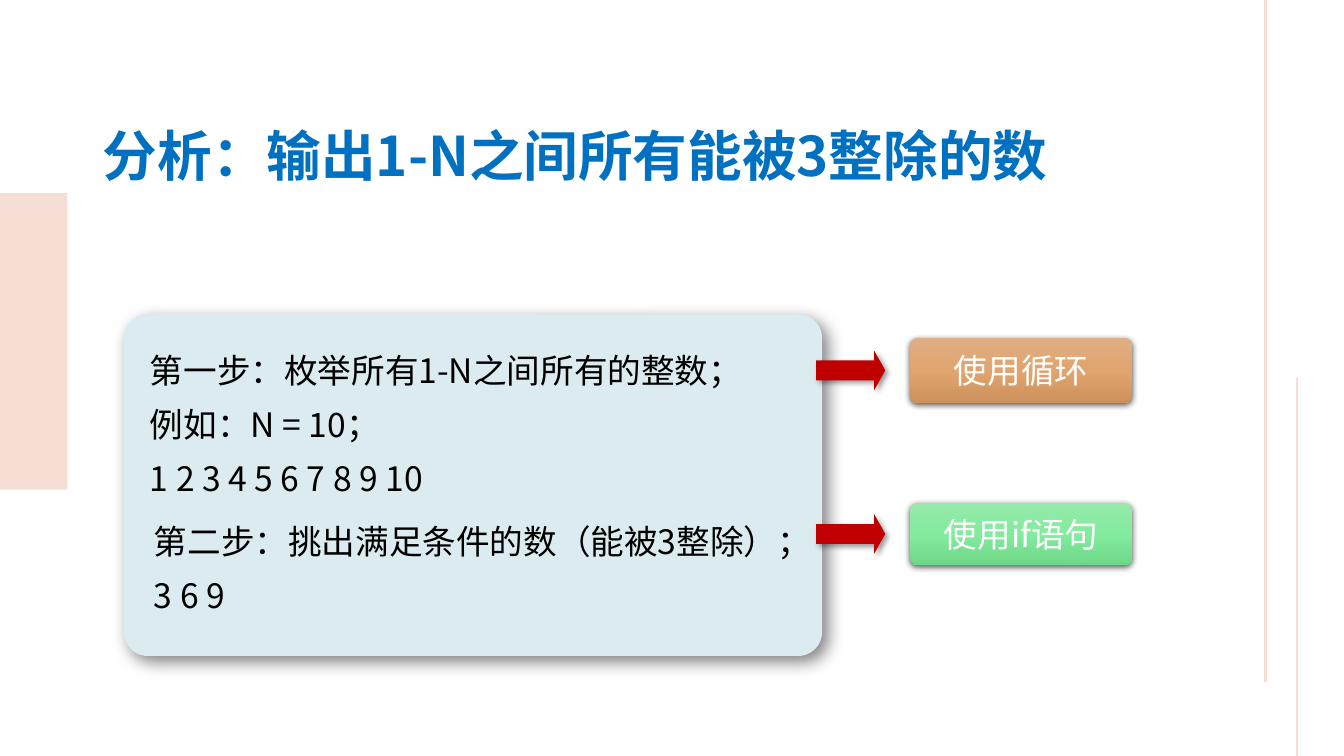
from lxml import etree
from pptx import Presentation
from pptx.dml.color import RGBColor
from pptx.enum.shapes import MSO_CONNECTOR, MSO_SHAPE
from pptx.enum.text import MSO_ANCHOR, PP_ALIGN
from pptx.oxml.ns import qn
from pptx.util import Cm, Pt

RECTANGLE = MSO_SHAPE.RECTANGLE
ROUNDED = MSO_SHAPE.ROUNDED_RECTANGLE
ARROW = MSO_SHAPE.RIGHT_ARROW
STRAIGHT = MSO_CONNECTOR.STRAIGHT
MIDDLE, TOP = MSO_ANCHOR.MIDDLE, MSO_ANCHOR.TOP
LEFT, CENTER = PP_ALIGN.LEFT, PP_ALIGN.CENTER

FONT = "Noto Sans CJK SC"
COLORS = {
    "accent": "F6DED4", "title": "0070C0", "panel": "DCEBEF",
    "text": "000000", "label": "FFFFFF", "arrow": "C00000", "shadow": "000000",
}
ORANGE = ("E0AE85", "E0A46E", "CD915B")
GREEN = ("96EAAB", "82EB9D", "6ED788")


def color(name):
    """Return the named colour."""
    return RGBColor.from_string(COLORS[name])


def write(frame, text, size=24, fill="text", bold=False, align=LEFT,
          anchor=TOP, gap=0, line_height=None):
    """Fill a text frame, one paragraph for each line of text."""
    frame.word_wrap = True
    frame.vertical_anchor = anchor
    for index, line in enumerate(text.split("\n")):
        para = frame.add_paragraph() if index else frame.paragraphs[0]
        para.alignment = align
        para.space_before = Pt(gap if index else 0)
        para.space_after = Pt(gap)
        if line_height:
            para.line_spacing = Pt(line_height)
        span = para.add_run()
        span.text = line
        span.font.size = Pt(size)
        span.font.bold = bold
        span.font.color.rgb = color(fill)
        span.font.name = FONT
        etree.SubElement(span.font._element, qn("a:ea"), typeface=FONT)


def add_shadow(shape, opacity, blur, distance, angle):
    """Give a shape an outer shadow, with lengths in points."""
    effects = etree.SubElement(shape._element.spPr, qn("a:effectLst"))
    shadow = etree.SubElement(
        effects, qn("a:outerShdw"), blurRad=str(Pt(blur)), dist=str(Pt(distance)),
        dir=str(angle * 60000), algn="ctr", rotWithShape="0")
    tint = etree.SubElement(shadow, qn("a:srgbClr"), val=COLORS["shadow"])
    etree.SubElement(tint, qn("a:alpha"), val=str(opacity * 1000))


def add_block(page, kind, box, fill=None, gradient=None, shadow=None):
    """Add a shape without outline, with a plain or a three-stop fill."""
    shape = page.shapes.add_shape(kind, *map(Cm, box))
    if gradient:
        shape.fill.gradient()
        stops = shape.fill._fill._gradFill.find(qn("a:gsLst"))
        for stop in list(stops):
            stops.remove(stop)
        for position, value in zip((0, 50, 100), gradient):
            stop = etree.SubElement(stops, qn("a:gs"), pos=str(position * 1000))
            etree.SubElement(stop, qn("a:srgbClr"), val=value)
        shape.fill.gradient_angle = 270
    else:
        shape.fill.solid()
        shape.fill.fore_color.rgb = color(fill)
    shape.line.fill.background()
    if shadow:
        add_shadow(shape, *shadow)
    else:
        shape.shadow.inherit = False
    return shape


def add_frame(page, box):
    """Draw the side band and the two rules at the right of the page box."""
    left, top, width, height = box
    add_block(page, RECTANGLE, (left, top + 4.87, 1.7, 7.47), fill="accent")
    right, bottom = left + width, top + height
    for inset, start, end, weight in ((1.97, top, 17.19, 2.25),
                                      (1.18, top + height / 2, bottom, 1.5)):
        x = Cm(right - inset)
        rule = page.shapes.add_connector(STRAIGHT, x, Cm(start), x, Cm(end))
        rule.line.color.rgb = color("accent")
        rule.line.width = Pt(weight)
        etree.SubElement(rule._element.spPr, qn("a:effectLst"))


def add_title(page, box, text):
    """Place and format the title placeholder."""
    title = page.shapes.title
    title.left, title.top, title.width, title.height = map(Cm, box)
    write(title.text_frame, text, size=39, fill="title", bold=True, anchor=MIDDLE)


def add_panel(page, box, steps):
    """Draw the panel and its steps, each at an offset from the panel."""
    left, top, width, height = box
    panel = add_block(page, ROUNDED, box, fill="panel", shadow=(50, 12, 6, 45))
    panel.adjustments[0] = 0.07
    for across, down, tall, text in steps:
        area = left + across, top + down, 16.4, tall
        step = page.shapes.add_textbox(*map(Cm, area))
        write(step.text_frame, text, gap=5, line_height=28.8)


def add_method(page, box, text, gradient):
    """Draw an arrow and the method button it leads to."""
    left, top, width, height = box
    arrow_box = left - 2.37, top + height / 2 - 0.5, 1.74, 1
    arrow = add_block(page, ARROW, arrow_box, fill="arrow", shadow=(40, 4, 3, 45))
    arrow.adjustments[0] = 0.5
    arrow.adjustments[1] = 0.28
    button = add_block(page, ROUNDED, box, gradient=gradient, shadow=(63, 4.5, 1.5, 90))
    button.adjustments[0] = 0.12
    write(button.text_frame, text, fill="label", align=CENTER, anchor=MIDDLE)


def main():
    """Build the slide and save it."""
    deck = Presentation()
    deck.slide_width, deck.slide_height = Cm(33.87), Cm(19.05)
    page = deck.slides.add_slide(deck.slide_layouts[5])
    add_frame(page, (0, 0, 33.87, 19.05))
    add_title(page, (2.34, 2.92, 25.81, 1.93), "分析：输出1-N之间所有能被3整除的数")
    add_panel(page, (3.12, 7.92, 17.6, 8.61), (
        (0.41, 0.77, 4.04, "第一步：枚举所有1-N之间所有的整数；\n例如：N = 10；\n1 2 3 4 5 6 7 8 9 10"),
        (0.51, 5.08, 2.67, "第二步：挑出满足条件的数（能被3整除）；\n3 6 9"),
    ))
    add_method(page, (22.94, 8.51, 5.59, 1.65), "使用循环", ORANGE)
    add_method(page, (22.94, 12.67, 5.59, 1.57), "使用if语句", GREEN)
    deck.save("out.pptx")


if __name__ == "__main__":
    main()
